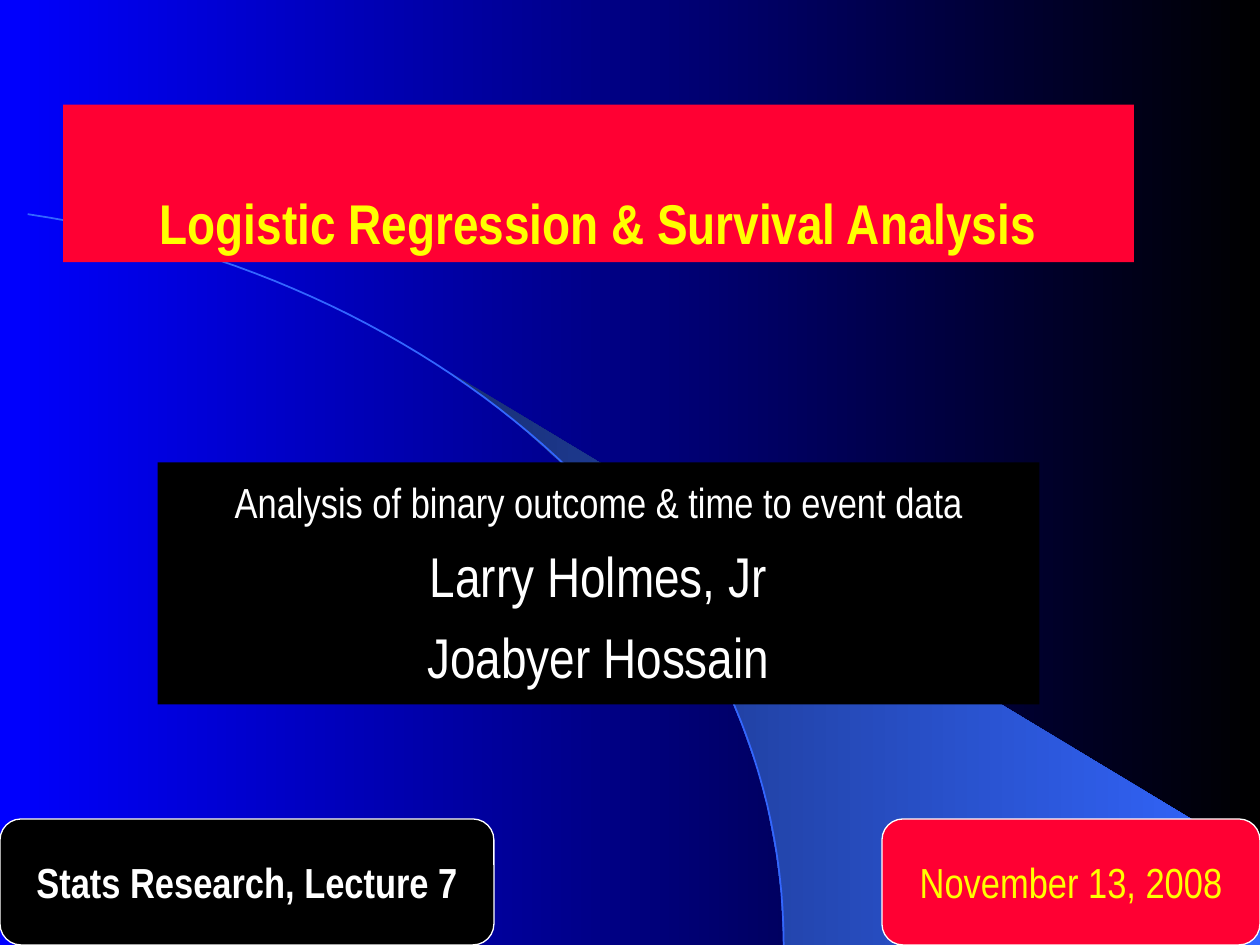
from dataclasses import dataclass

from pptx import Presentation
from pptx import util as u
from pptx.dml.color import RGBColor
from pptx.enum import shapes, text

BLUE = RGBColor(0x00, 0x00, 0xFF)
BLACK = RGBColor(0x00, 0x00, 0x00)
NAVY = RGBColor(0x18, 0x2F, 0x76)
SKY = RGBColor(0x33, 0x66, 0xFF)
RED = RGBColor(0xFF, 0x00, 0x33)
YELLOW = RGBColor(0xFF, 0xFF, 0x00)
WHITE = RGBColor(0xFF, 0xFF, 0xFF)
FONT = "Arial Narrow"

Point = tuple[float, float]


@dataclass
class Line:
    words: str
    size: int
    before: int = 0


@dataclass
class Panel:
    box: tuple[float, float, float, float]
    fill: RGBColor
    color: RGBColor
    lines: list[Line]
    anchor: text.MSO_ANCHOR = text.MSO_ANCHOR.MIDDLE
    bold: bool = False
    wrap: bool = True


TITLE = Panel((0.5, 0.83, 8.5, 1.25), RED, YELLOW,
              [Line("Logistic Regression & Survival Analysis", 32)],
              text.MSO_ANCHOR.BOTTOM, bold=True)
SUBTITLE = Panel((1.25, 3.67, 7, 1.92), BLACK, WHITE,
                 [Line("Analysis of binary outcome & time to event data", 24, 6),
                  Line("Larry Holmes, Jr", 32, 8),
                  Line("Joabyer Hossain", 32, 8)])
BADGES = [
    Panel((0, 6.5, 3.92, 1), BLACK, WHITE,
          [Line("Stats Research, Lecture 7", 24)], bold=True, wrap=False),
    Panel((7, 6.5, 3, 1), RED, YELLOW,
          [Line("November 13, 2008", 24)], wrap=False),
]
BEAM = [(6.22, 7.5), (10, 7.5), (10, 6.83), (3.58, 2.96), (3.86, 3.17),
        (4.08, 3.34), (4.34, 3.57), (4.59, 3.8), (4.96, 4.2), (5.28, 4.62),
        (5.52, 4.99), (5.73, 5.37), (5.89, 5.76), (6.01, 6.1), (6.09, 6.4),
        (6.16, 6.77), (6.2, 7.09)]
ARC = [(0.22, 1.7), (3.7, 2.22), (6.22, 4.66), (6.22, 7.5)]


def bezier(ctrl: list[Point], steps: int = 60) -> list[Point]:
    def at(t: float) -> Point:
        weights = ((1 - t) ** 3, 3 * t * (1 - t) ** 2, 3 * t * t * (1 - t), t ** 3)
        return (sum(w * x for w, (x, _) in zip(weights, ctrl)),
                sum(w * y for w, (_, y) in zip(weights, ctrl)))
    return [at(i / steps) for i in range(steps + 1)]


def draw_outline(s, points: list[Point], close: bool):
    pts = [(u.Inches(x), u.Inches(y)) for x, y in points]
    builder = s.shapes.build_freeform(*pts[0])
    builder.add_line_segments(pts[1:], close=close)
    sp = builder.convert_to_shape()
    sp.shadow.inherit = False
    return sp


def set_gradient(fill, start: RGBColor, end: RGBColor) -> None:
    fill.gradient()
    fill.gradient_angle = 0
    for stop, position, color in zip(fill.gradient_stops, (0, 1), (start, end)):
        stop.position = position
        stop.color.rgb = color


def fill_panel(sp, panel: Panel) -> None:
    sp.left, sp.top, sp.width, sp.height = map(u.Inches, panel.box)
    sp.fill.solid()
    sp.fill.fore_color.rgb = panel.fill
    tf = sp.text_frame
    tf.auto_size = text.MSO_AUTO_SIZE.NONE
    tf.word_wrap = panel.wrap
    tf.vertical_anchor = panel.anchor
    for i, line in enumerate(panel.lines):
        p = tf.add_paragraph() if i else tf.paragraphs[0]
        p.alignment = text.PP_ALIGN.CENTER
        p.space_before = u.Pt(line.before)
        r = p.add_run()
        r.text = line.words
        r.font.name = FONT
        r.font.size = u.Pt(line.size)
        r.font.bold = panel.bold
        r.font.color.rgb = panel.color


def draw_badge(s, panel: Panel) -> None:
    sp = s.shapes.add_shape(shapes.MSO_SHAPE.ROUNDED_RECTANGLE,
                            *map(u.Inches, panel.box))
    sp.shadow.inherit = False
    sp.line.color.rgb = WHITE
    sp.line.width = u.Pt(0.75)
    fill_panel(sp, panel)


def main() -> None:
    prs = Presentation()
    prs.slide_width, prs.slide_height = u.Inches(10), u.Inches(7.5)
    s = prs.slides.add_slide(prs.slide_layouts[0])
    set_gradient(s.background.fill, BLUE, BLACK)

    beam = draw_outline(s, BEAM, close=True)
    set_gradient(beam.fill, NAVY, SKY)
    beam.line.fill.background()

    arc = draw_outline(s, bezier(ARC), close=False)
    arc.fill.background()
    arc.line.color.rgb = SKY
    arc.line.width = u.Pt(1)

    for sp, panel in zip(list(s.placeholders), (TITLE, SUBTITLE)):
        s.shapes._spTree.append(sp._element)
        fill_panel(sp, panel)
    for badge in BADGES:
        draw_badge(s, badge)

    prs.save("out.pptx")


if __name__ == "__main__":
    main()
